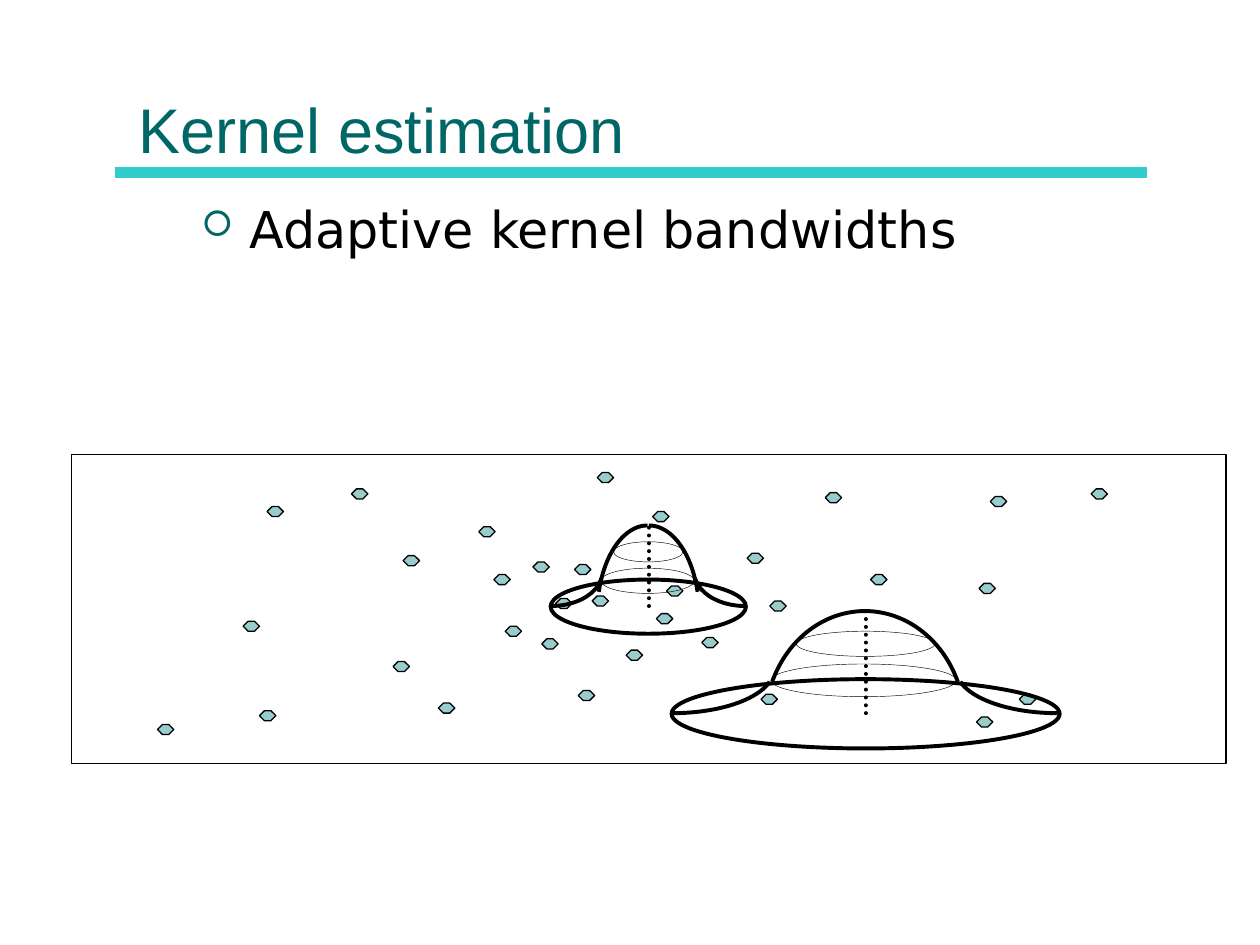
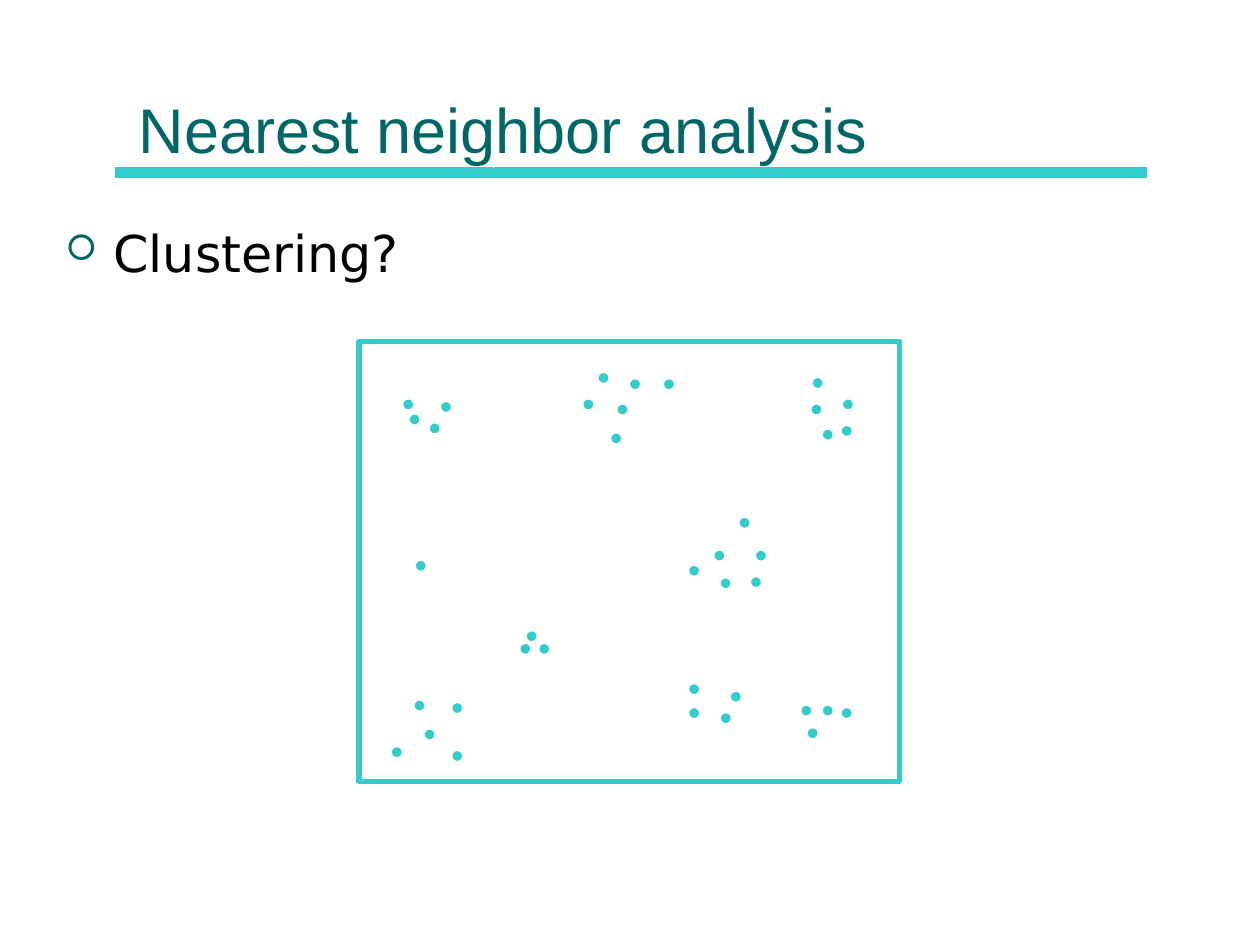
from dataclasses import dataclass
from typing import NamedTuple, Optional

from lxml.etree import SubElement
from pptx import Presentation
from pptx.dml.color import RGBColor
from pptx.enum.dml import MSO_LINE
from pptx.enum.shapes import MSO_CONNECTOR, MSO_SHAPE
from pptx.enum.text import MSO_ANCHOR, MSO_AUTO_SIZE, PP_ALIGN
from pptx.oxml.ns import qn
from pptx.util import Inches, Pt

SLIDE_WIDTH, SLIDE_HEIGHT = Inches(10), Inches(7.5)
COLUMN, ROW = SLIDE_WIDTH / 10, SLIDE_HEIGHT / 7.5

TEAL = RGBColor(0x00, 0x66, 0x66)
TURQUOISE = RGBColor(0x33, 0xCC, 0xCC)
PALE_TEAL = RGBColor(0x99, 0xCC, 0xCC)
BLACK = RGBColor(0, 0, 0)
WHITE = RGBColor(0xFF, 0xFF, 0xFF)

ADJUSTMENT_PER_DEGREE = 0.6
CROWN_TILT = 24.7
FLARE_TILT = 7.1


class Point(NamedTuple):
    x: float
    y: float


class Box(NamedTuple):
    left: float
    top: float
    width: float
    height: float


@dataclass(frozen=True)
class Look:
    line: RGBColor
    weight: float
    fill: Optional[RGBColor] = None
    dash: Optional[MSO_LINE] = None


@dataclass(frozen=True)
class Kernel:
    centre: float
    apex: float
    base: float
    rim: Box
    contours: tuple[Box, ...]
    left_crown: Box
    right_crown: Box
    left_flare: Box
    right_flare: Box


EVENT = Look(BLACK, 0.75, PALE_TEAL)
DOT = Look(WHITE, 1.5, TURQUOISE)
OUTLINE = Look(BLACK, 2.25)
CONTOUR = Look(BLACK, 0.25)
AXIS = Look(BLACK, 2.25, dash=MSO_LINE.ROUND_DOT)
STUDY_AREA = Look(BLACK, 0.75)
SAMPLE_AREA = Look(TURQUOISE, 3)
TITLE_RULE = Look(TURQUOISE, 6)

EVENTS = (
    (4.41, 4.75), (6.04, 5.51), (4.97, 5.16), (3.8, 4.18), (6.91, 4.56),
    (1.93, 4.93), (3.12, 5.25), (4.56, 4.48), (6.55, 3.91), (2.79, 3.88),
    (7.86, 3.94), (8.66, 3.88), (7.77, 4.63), (6.11, 4.77), (4.01, 4.97),
    (2.06, 5.64), (1.25, 5.75), (7.75, 5.69), (5.93, 4.39), (4.74, 3.75),
    (4.7, 4.73), (5.57, 5.06), (3.48, 5.58), (4.59, 5.48), (5.21, 4.87),
    (8.09, 5.51), (3.2, 4.41), (5.29, 4.65), (4.23, 4.46), (3.92, 4.56),
    (2.12, 4.02), (4.3, 5.07), (5.18, 4.06),
)

KERNELS = (
    Kernel(
        centre=5.15, apex=4.18, base=4.81,
        rim=Box(4.37, 4.6, 1.55, 0.43),
        contours=(Box(4.77, 4.51, 0.74, 0.2), Box(4.87, 4.3, 0.55, 0.16)),
        left_crown=Box(4.74, 4.17, 0.8, 1.41),
        right_crown=Box(4.75, 4.17, 0.8, 1.41),
        left_flare=Box(3.97, 4.27, 0.81, 0.54),
        right_flare=Box(5.51, 4.27, 0.81, 0.54),
    ),
    Kernel(
        centre=6.87, apex=4.86, base=5.66,
        rim=Box(5.33, 5.39, 3.08, 0.55),
        contours=(Box(6.12, 5.27, 1.47, 0.26), Box(6.32, 5.01, 1.1, 0.2)),
        left_crown=Box(6.07, 4.85, 1.59, 1.8),
        right_crown=Box(6.07, 4.85, 1.59, 1.8),
        left_flare=Box(4.53, 4.97, 1.61, 0.69),
        right_flare=Box(7.59, 4.97, 1.61, 0.69),
    ),
)

CLUSTERS = {
    "upper left": ((3.49, 3.18), (3.4, 3.35), (3.24, 3.28), (3.19, 3.16)),
    "upper middle": ((4.74, 2.95), (5.26, 3), (4.84, 3.43), (4.99, 3), (4.62, 3.16), (4.89, 3.2)),
    "upper right": ((6.68, 3.16), (6.43, 3.2), (6.44, 2.99), (6.52, 3.4), (6.67, 3.37)),
    "centre right": ((5.99, 4.36), (5.95, 4.57), (5.46, 4.48), (5.66, 4.36), (5.71, 4.58), (5.86, 4.1)),
    "centre left": ((3.29, 4.44),),
    "centre": ((4.17, 5), (4.12, 5.1), (4.27, 5.1)),
    "lower left": ((3.58, 5.95), (3.28, 5.55), (3.36, 5.78), (3.58, 5.57), (3.1, 5.92)),
    "lower middle": ((5.46, 5.61), (5.71, 5.65), (5.79, 5.48), (5.46, 5.42)),
    "lower right": ((6.67, 5.61), (6.35, 5.59), (6.4, 5.77), (6.52, 5.59)),
}


def on_grid(box: Box) -> tuple[int, ...]:
    return (round(box.left * COLUMN), round(box.top * ROW),
            round(box.width * COLUMN), round(box.height * ROW))


def place(placeholder, box: Box) -> None:
    placeholder.left, placeholder.top, placeholder.width, placeholder.height = on_grid(box)


def draw_line(line, look: Look) -> None:
    line.color.rgb = look.line
    line.width = Pt(look.weight)
    if look.dash is not None:
        line.dash_style = look.dash


def add_preset(slide, preset: MSO_SHAPE, box: Box, look: Look):
    shape = slide.shapes.add_shape(preset, *on_grid(box))
    shape.shadow.inherit = False
    if look.fill is None:
        shape.fill.background()
    else:
        shape.fill.solid()
        shape.fill.fore_color.rgb = look.fill
    draw_line(shape.line, look)
    return shape


def add_straight(slide, start: Point, end: Point, look: Look):
    connector = slide.shapes.add_connector(
        MSO_CONNECTOR.STRAIGHT, round(start.x * COLUMN), round(start.y * ROW),
        round(end.x * COLUMN), round(end.y * ROW))
    draw_line(connector.line, look)
    properties = connector.element.spPr
    SubElement(properties, qn("a:effectLst"))
    if look.dash is not None:
        properties.find(qn("a:ln")).set("cap", "rnd")
    return connector


def add_arc(slide, box: Box, start: float, end: float, look: Look) -> None:
    arc = add_preset(slide, MSO_SHAPE.ARC, box, look)
    arc.adjustments[0] = start * ADJUSTMENT_PER_DEGREE
    arc.adjustments[1] = end * ADJUSTMENT_PER_DEGREE


def add_kernel(slide, kernel: Kernel) -> None:
    add_straight(slide, Point(kernel.centre, kernel.base), Point(kernel.centre, kernel.apex), AXIS)
    add_preset(slide, MSO_SHAPE.OVAL, kernel.rim, OUTLINE)
    add_arc(slide, kernel.right_crown, 270, 360 - CROWN_TILT, OUTLINE)
    add_arc(slide, kernel.right_flare, 90, 180 - FLARE_TILT, OUTLINE)
    add_arc(slide, kernel.left_crown, 180 + CROWN_TILT, 270, OUTLINE)
    add_arc(slide, kernel.left_flare, FLARE_TILT, 90, OUTLINE)
    for contour in kernel.contours:
        add_preset(slide, MSO_SHAPE.OVAL, contour, CONTOUR)


def add_bullet(paragraph, color: RGBColor) -> None:
    properties = paragraph._p.get_or_add_pPr()
    properties.set("marL", str(Inches(0.38)))
    properties.set("indent", str(-Inches(0.38)))
    bullet_color = SubElement(properties, qn("a:buClr"))
    SubElement(bullet_color, qn("a:srgbClr"), val=str(color))
    SubElement(properties, qn("a:buSzPct"), val="70000")
    SubElement(properties, qn("a:buFont"), typeface="Wingdings", charset="2")
    SubElement(properties, qn("a:buChar"), char="¡")


def write(placeholder, text: str, *, font: str, size: float, color: RGBColor,
          anchor: MSO_ANCHOR, bullet: Optional[RGBColor] = None) -> None:
    frame = placeholder.text_frame
    frame.text = text
    frame.word_wrap = True
    frame.auto_size = MSO_AUTO_SIZE.NONE
    frame.vertical_anchor = anchor
    paragraph = frame.paragraphs[0]
    if bullet is not None:
        add_bullet(paragraph, bullet)
    paragraph.alignment = PP_ALIGN.LEFT
    paragraph.space_before = Pt(0)
    paragraph.font.name = font
    paragraph.font.size = Pt(size)
    paragraph.font.color.rgb = color


def add_topic(deck, title: str, point: str, body_box: Box):
    slide = deck.slides.add_slide(deck.slide_layouts[1])
    body = slide.placeholders[1]
    place(body, body_box)
    write(slide.shapes.title, title, font="Arial", size=36, color=TEAL, anchor=MSO_ANCHOR.BOTTOM)
    write(body, point, font="DejaVu Sans", size=29, color=BLACK,
          anchor=MSO_ANCHOR.TOP, bullet=TEAL)
    return slide


def share_title_style(deck, slide) -> None:
    layout = deck.slide_layouts[1]
    place(layout.placeholders[0], Box(1, 0.12, 8, 1.25))
    rule = add_straight(slide, Point(0.91, 1.37), Point(9.1, 1.37), TITLE_RULE)
    layout.shapes.element.append(rule.element)


def add_kernel_slide(deck):
    slide = add_topic(deck, "Kernel estimation", "Adaptive kernel bandwidths",
                      Box(1.5, 1.52, 8, 4.5))
    study_area = add_preset(slide, MSO_SHAPE.PARALLELOGRAM, Box(0.57, 3.61, 9.16, 2.45), STUDY_AREA)
    study_area.adjustments[0] = 0
    for left, top in EVENTS:
        event = add_preset(slide, MSO_SHAPE.OCTAGON, Box(left, top, 0.13, 0.08), EVENT)
        event.adjustments[0] = 0.5
    for kernel in KERNELS:
        add_kernel(slide, kernel)
    return slide


def add_neighbor_slide(deck) -> None:
    slide = add_topic(deck, "Nearest neighbor analysis", "Clustering?",
                      Box(0.42, 1.71, 9.13, 4.5))
    add_preset(slide, MSO_SHAPE.RECTANGLE, Box(2.85, 2.71, 4.29, 3.49), SAMPLE_AREA)
    for cluster in CLUSTERS.values():
        for left, top in cluster:
            add_preset(slide, MSO_SHAPE.OVAL, Box(left, top, 0.1, 0.1), DOT)


def main() -> None:
    deck = Presentation()
    deck.slide_width, deck.slide_height = SLIDE_WIDTH, SLIDE_HEIGHT
    kernel_slide = add_kernel_slide(deck)
    share_title_style(deck, kernel_slide)
    add_neighbor_slide(deck)
    deck.save("out.pptx")


if __name__ == "__main__":
    main()
